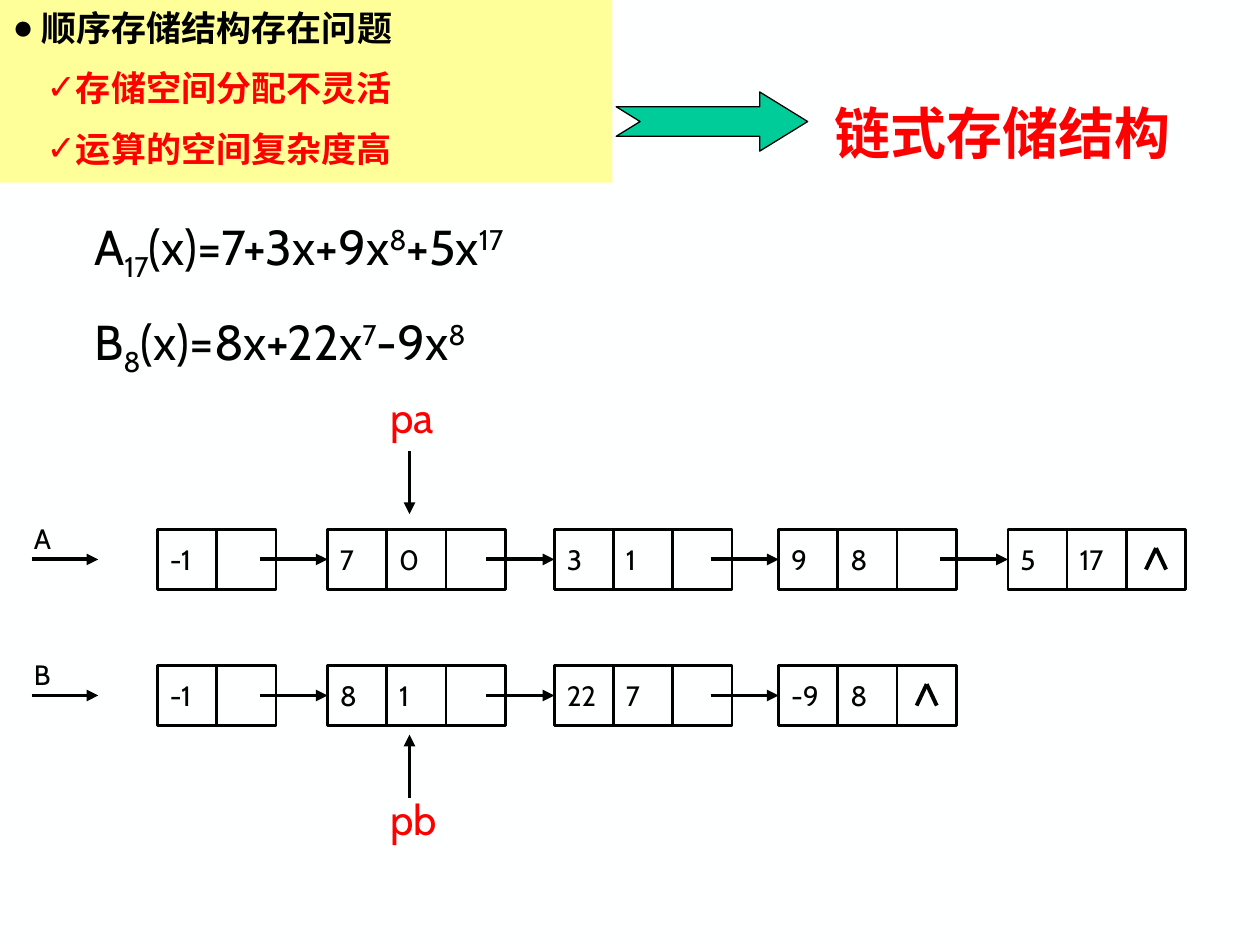
"""Build the slide on moving from sequential to linked storage for polynomials."""
from lxml import etree
from pptx import Presentation
from pptx.dml.color import RGBColor
from pptx.enum.shapes import MSO_CONNECTOR, MSO_SHAPE
from pptx.enum.text import MSO_ANCHOR, MSO_AUTO_SIZE, PP_ALIGN
from pptx.oxml.ns import qn
from pptx.util import Inches, Pt

LINE = MSO_CONNECTOR.STRAIGHT
RECT, NOTCHED = MSO_SHAPE.RECTANGLE, MSO_SHAPE.NOTCHED_RIGHT_ARROW
TOP, MIDDLE = MSO_ANCHOR.TOP, MSO_ANCHOR.MIDDLE
LEFT, CENTER = PP_ALIGN.LEFT, PP_ALIGN.CENTER
NO_FIT = MSO_AUTO_SIZE.NONE

TITLE = "链式存储结构"
PROBLEMS = [
    (0, "●", "顺序存储结构存在问题", "ink"),
    (1, "✓", "存储空间分配不灵活", "red"),
    (1, "✓", "运算的空间复杂度高", "red"),
]
FORMULAS = [
    [("A", 0), ("17", -25), ("(x)=7+3x+9x", 0), ("8", 30), ("+5x", 0), ("17", 30)],
    [("B", 0), ("8", -25), ("(x)=8x+22x", 0), ("7", 30), ("-9x", 0), ("8", 30)],
]
LISTS = [
    ("A", [["-1"], ["7", "0"], ["3", "1"], ["9", "8"], ["5", "17"]]),
    ("B", [["-1"], ["8", "1"], ["22", "7"], ["-9", "8"]]),
]
POINTERS = [("pa", 3.06, 3.58, 4.08), ("pb", 6.25, 6.33, 5.83)]

THEME = {
    "color": {"ink": "000000", "red": "FF0000", "panel": "FFFF99",
              "arrow": "00CC99", "page": "FEFFFF"},
    "size": {"title": 32, "list": 20, "formula": 28, "cell": 16, "pointer": 24},
    "latin": "Cabin",
    "cjk": "Noto Sans CJK SC",
}
NODE_X = [1.25, 2.6, 4.4, 6.18, 8]
ROW_TOP, ROW_STEP, CELL_W, CELL_H = 4.2, 1.08, 0.47, 0.48
LINK = 0.54
FORMULA_TOP, FORMULA_STEP = 1.67, 0.75
INDENTS = [(0.23, -0.23), (0.48, -0.21)]


def color(name):
    return RGBColor.from_string(THEME["color"][name])


def apply(obj, **values):
    for name, value in values.items():
        setattr(obj, name, value)


def place(shape, left, top, width, height):
    apply(shape, left=Inches(left), top=Inches(top),
          width=Inches(width), height=Inches(height))


def add_run(p, text, size, ink="ink", cjk=False, base=0):
    r = p.add_run()
    r.text = text
    apply(r.font, size=Pt(THEME["size"][size]), bold=cjk,
          name=THEME["cjk" if cjk else "latin"])
    r.font.color.rgb = color(ink)
    rPr = r._r.get_or_add_rPr()
    if cjk:
        etree.SubElement(rPr, qn("a:ea"), typeface=THEME["cjk"])
    if base:
        rPr.set("baseline", str(base * 1000))


def add_text(s, left, top, width, height, runs, size, ink="ink"):
    tf = s.shapes.add_textbox(*map(Inches, (left, top, width, height))).text_frame
    tf.word_wrap = True
    for text, base in runs:
        add_run(tf.paragraphs[0], text, size, ink, base=base)


def add_line(s, x1, y1, x2, y2, arrow=True):
    c = s.shapes.add_connector(LINE, *map(Inches, (x1, y1, x2, y2)))
    c.line.color.rgb = color("ink")
    c.line.width = Pt(2.25)
    if arrow:
        etree.SubElement(c.line._get_or_add_ln(), qn("a:tailEnd"), type="triangle")
    etree.SubElement(c._element.spPr, qn("a:effectLst"))


def add_cell(s, left, top, text):
    sp = s.shapes.add_shape(RECT, *map(Inches, (left, top, CELL_W, CELL_H)))
    sp.shadow.inherit = False
    sp.fill.background()
    sp.line.color.rgb = color("ink")
    sp.line.width = Pt(1.5)
    if text:
        tf = sp.text_frame
        apply(tf, word_wrap=True, vertical_anchor=MIDDLE, margin_right=0)
        tf.paragraphs[0].alignment = LEFT
        add_run(tf.paragraphs[0], text, "cell")


def add_list(s, name, nodes, top):
    mid = top + CELL_H / 2
    add_text(s, 0.17, top - 0.11, 0.5, 0.37, [(name, 0)], "cell")
    add_line(s, 0.25, mid, 0.78, mid)
    for left, values in zip(NODE_X, nodes):
        for i, text in enumerate(values + [""]):
            add_cell(s, left + i * CELL_W, top, text)
    for left in NODE_X[1:len(nodes)]:
        add_line(s, left - LINK, mid, left, mid)
    tip = NODE_X[len(nodes) - 1] + (len(nodes[-1]) + 0.5) * CELL_W
    for dx in (-0.08, 0.08):
        add_line(s, tip, top + 0.15, tip + dx, top + 0.32, arrow=False)


def fill_title(sp):
    place(sp, 6.51, 0.73, 2.89, 0.64)
    tf = sp.text_frame
    apply(tf, auto_size=NO_FIT, word_wrap=False, vertical_anchor=MIDDLE)
    tf.paragraphs[0].alignment = CENTER
    add_run(tf.paragraphs[0], TITLE, "title", "red", cjk=True)


def fill_problems(sp):
    place(sp, 0, 0, 4.86, 1.45)
    sp.fill.solid()
    sp.fill.fore_color.rgb = color("panel")
    tf = sp.text_frame
    apply(tf, auto_size=NO_FIT, word_wrap=True, vertical_anchor=TOP)
    for i, (level, bullet, text, ink) in enumerate(PROBLEMS):
        p = tf.add_paragraph() if i else tf.paragraphs[0]
        pPr = p._p.get_or_add_pPr()
        for key, value in zip(("marL", "indent"), INDENTS[level]):
            pPr.set(key, str(Inches(value)))
        etree.SubElement(pPr, qn("a:buChar"), char=bullet)
        apply(p, level=level, space_before=Pt(10.5 if i else 0))
        add_run(p, text, "list", ink, cjk=True)


def main():
    prs = Presentation()
    apply(prs, slide_width=Inches(10), slide_height=Inches(7.5))
    s = prs.slides.add_slide(prs.slide_layouts[1])
    s.background.fill.solid()
    s.background.fill.fore_color.rgb = color("page")
    fill_title(s.shapes.title)
    fill_problems(s.placeholders[1])

    arrow = s.shapes.add_shape(NOTCHED, *map(Inches, (4.89, 0.73, 1.52, 0.47)))
    arrow.shadow.inherit = False
    arrow.adjustments[1] = 0.81
    arrow.fill.solid()
    arrow.fill.fore_color.rgb = color("arrow")
    arrow.line.color.rgb = color("ink")
    arrow.line.width = Pt(0.75)

    for i, runs in enumerate(FORMULAS):
        add_text(s, 0.65, FORMULA_TOP + i * FORMULA_STEP, 4.43, 0.57,
                 runs, "formula")
    for i, (name, nodes) in enumerate(LISTS):
        add_list(s, name, nodes, ROW_TOP + i * ROW_STEP)
    for name, top, start, end in POINTERS:
        add_text(s, 3, top, 0.75, 0.5, [(name, 0)], "pointer", "red")
        add_line(s, 3.25, start, 3.25, end)
    prs.save("out.pptx")


if __name__ == "__main__":
    main()
